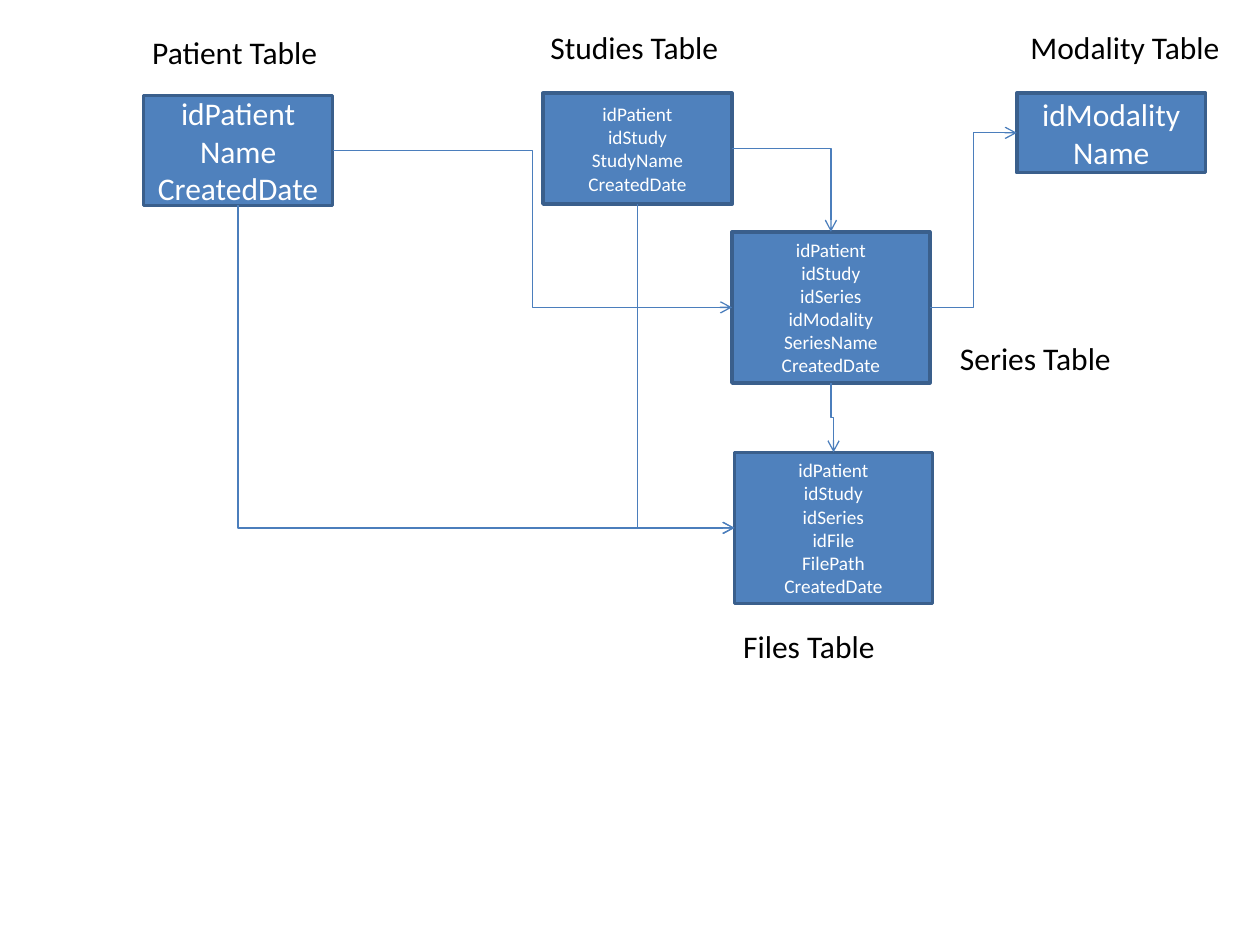
"""Build a slide showing the database tables of an imaging archive and their links."""
import pptx
import pptx.dml.color
import pptx.enum.shapes
import pptx.enum.text
import pptx.oxml
import pptx.oxml.ns
import pptx.util

Inches, Pt = pptx.util.Inches, pptx.util.Pt
RGBColor = pptx.dml.color.RGBColor
Align, Anchor = pptx.enum.text.PP_ALIGN, pptx.enum.text.MSO_ANCHOR

FILL = RGBColor(0x4F, 0x81, 0xBD)
BORDER = RGBColor(0x3A, 0x5F, 0x8C)
LINK = RGBColor(0x4B, 0x7E, 0xBC)
WHITE = RGBColor(0xFF, 0xFF, 0xFF)
BLACK = RGBColor(0, 0, 0)
BOTTOM, LEFT, RIGHT, TOP = 2, 1, 3, 0

TABLES = {
    "Patient": ((1.14, 0.76, 1.5, 0.87), 18, ["idPatient", "Name", "CreatedDate"]),
    "Studies": ((4.31, 0.74, 1.5, 0.88), 11,
                ["idPatient", "idStudy", "StudyName", "CreatedDate"]),
    "Series": ((5.81, 1.84, 1.57, 1.2), 11,
               ["idPatient", "idStudy", "idSeries", "idModality", "SeriesName", "CreatedDate"]),
    "Modality": ((8.07, 0.74, 1.5, 0.63), 18, ["idModality", "Name"]),
    "Files": ((5.83, 3.59, 1.57, 1.2), 11,
              ["idPatient", "idStudy", "idSeries", "idFile", "FilePath", "CreatedDate"]),
}
LINKS = [
    ("Patient", BOTTOM, "Files", LEFT),
    ("Studies", BOTTOM, "Files", LEFT),
    ("Series", BOTTOM, "Files", TOP),
    ("Series", RIGHT, "Modality", LEFT),
    ("Studies", RIGHT, "Series", TOP),
    ("Patient", RIGHT, "Series", LEFT),
]
LABELS = {
    "Patient": (1.11, 0.21, 1.53, 0.4),
    "Studies": (4.27, 0.17, 1.55, 0.4),
    "Modality": (8.08, 0.17, 1.72, 0.4),
    "Series": (7.52, 2.64, 1.41, 0.4),
    "Files": (5.8, 4.93, 1.26, 0.4),
}


def apply(target, values):
    """Set each named attribute on the target."""
    for name, value in values.items():
        setattr(target, name, value)


def write(frame, lines, align, size, colour):
    """Write one paragraph for each line."""
    for index, line in enumerate(lines):
        para = frame.paragraphs[0] if index == 0 else frame.add_paragraph()
        para.alignment = align
        span = para.add_run()
        span.text = line
        apply(span.font, {"name": "Calibri", "size": Pt(size)})
        span.font.color.rgb = colour


def add_table_box(page, place, size, fields):
    """Draw one database table as a rectangle listing its fields."""
    kind = pptx.enum.shapes.MSO_SHAPE.RECTANGLE
    box = page.shapes.add_shape(kind, *map(Inches, place))
    box.shadow.inherit = False
    box.fill.solid()
    box.fill.fore_color.rgb = FILL
    box.line.color.rgb = BORDER
    box.line.width = Pt(2)
    apply(box.text_frame, {"word_wrap": True, "vertical_anchor": Anchor.MIDDLE})
    write(box.text_frame, fields, Align.CENTER, size, WHITE)
    return box


def add_link(page, source, start, target, end):
    """Join two boxes with a bent arrow."""
    kind = pptx.enum.shapes.MSO_CONNECTOR.ELBOW
    link = page.shapes.add_connector(kind, 0, 0, 0, 0)
    link.begin_connect(source, start)
    link.end_connect(target, end)
    link.line.color.rgb = LINK
    link.line.width = Pt(0.75)
    properties = link._element.spPr
    if (start == BOTTOM) != (end == TOP):
        properties.find(pptx.oxml.ns.qn("a:prstGeom")).set("prst", "bentConnector2")
    if start == BOTTOM:
        width, height = link.width, link.height
        shift = (width - height) // 2
        apply(link, {"left": link.left + shift, "top": link.top - shift,
                     "width": height, "height": width})
        apply(properties.xfrm, {"rot": 270.0, "flipH": True})
    space = pptx.oxml.ns.nsdecls("a")
    arrow = pptx.oxml.parse_xml(f'<a:tailEnd {space} type="arrow"/>')
    link.line._get_or_add_ln().append(arrow)
    properties.append(pptx.oxml.parse_xml(f"<a:effectLst {space}/>"))


def add_label(page, name, place):
    """Write the title of a database table."""
    box = page.shapes.add_textbox(*map(Inches, place))
    fit = pptx.enum.text.MSO_AUTO_SIZE.SHAPE_TO_FIT_TEXT
    apply(box.text_frame, {"word_wrap": False, "auto_size": fit})
    write(box.text_frame, [f"{name} Table"], Align.LEFT, 18, BLACK)


def main():
    """Build and save the deck."""
    deck = pptx.Presentation()
    apply(deck, {"slide_width": Inches(10), "slide_height": Inches(7.5)})
    page = deck.slides.add_slide(deck.slide_layouts[6])
    boxes = {name: add_table_box(page, *table) for name, table in TABLES.items()}
    for source, start, target, end in LINKS:
        add_link(page, boxes[source], start, boxes[target], end)
    for name, place in LABELS.items():
        add_label(page, name, place)
    deck.save("out.pptx")


if __name__ == "__main__":
    main()
